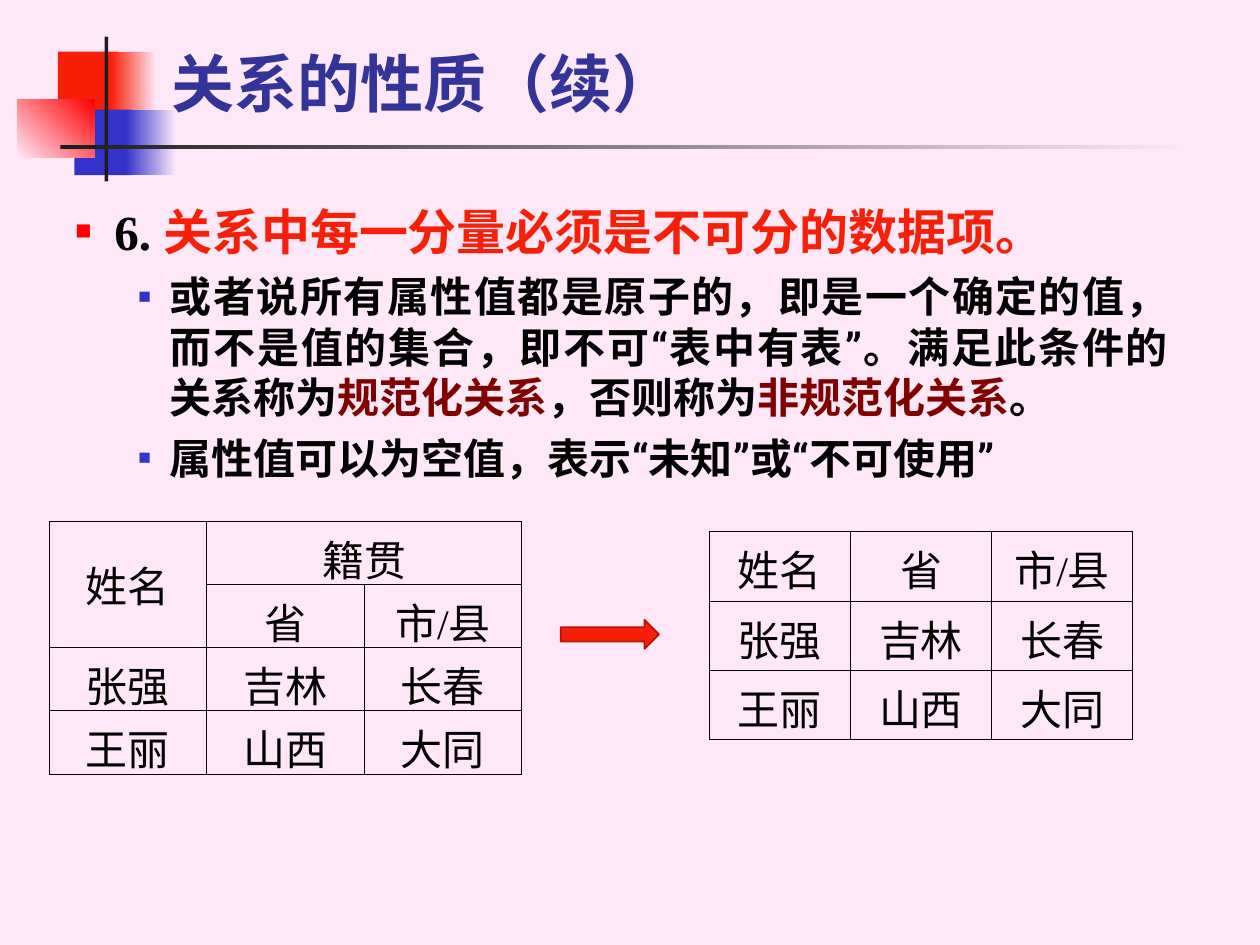
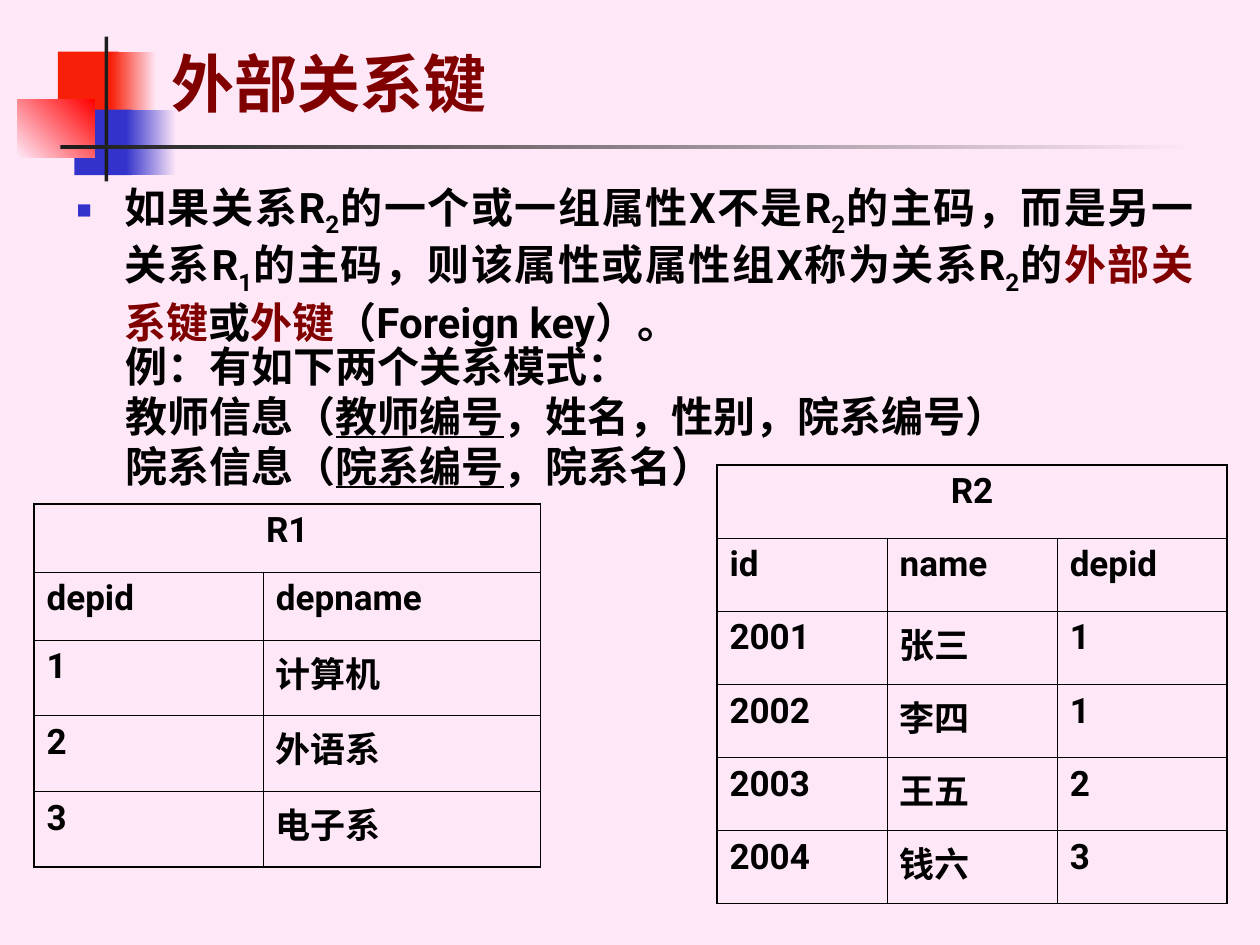
from pptx import Presentation
from pptx.dml.color import RGBColor
from pptx.enum.shapes import MSO_SHAPE as SHAPE
from pptx.enum.text import MSO_ANCHOR as ANCHOR, PP_ALIGN as ALIGN
from pptx.oxml.ns import qn
from pptx.util import Inches, Pt
from lxml.etree import SubElement

PINK = RGBColor(0xFE, 0xE8, 0xF7)
RED = RGBColor(0xF8, 0x1F, 0x08)
PURE_RED = RGBColor(0xFF, 0x00, 0x00)
ARROW_EDGE = RGBColor(0xB6, 0x14, 0x04)
BLUE = RGBColor(0x33, 0x33, 0xCC)
INDIGO = RGBColor(0x33, 0x33, 0x99)
MAROON = RGBColor(0x80, 0x00, 0x00)
DARK = RGBColor(0x1C, 0x1C, 0x1C)
BLACK = RGBColor(0x00, 0x00, 0x00)
SANS, SERIF = "Roboto", "Times New Roman"
THIN, THICK = 0.45, 1.08

DECORATION = [
    ((0.46, 0.41, 0.48, 0.52), (RED,), 0),
    ((0.88, 0.41, 0.36, 0.52), (RED, PINK), 0),
    ((0.59, 0.87, 0.46, 0.52), (BLUE,), 0),
    ((1, 0.87, 0.4, 0.52), (BLUE, PINK), 0),
    ((0.14, 0.79, 0.61, 0.46), (PINK, PURE_RED), 45),
    ((0.83, 0.29, 0.03, 1.15), (DARK,), 0),
    ((0.48, 1.15, 9, 0.03), (DARK, PINK), 0),
]

KEY = {"color": MAROON}
SUB = {"sub": True}
LINED = {"underline": True}

POINT = dict(size=28, indent=(0.81, -0.31), bullet=(PURE_RED, 55))
DETAIL = dict(size=24, indent=(1.25, -0.25), bullet=(BLUE, 50), before=6)
DEFINITION = dict(size=24, indent=(0.38, -0.38), bullet=(BLUE, 60))
PLAIN = dict(size=24)

ATOMIC_RULE = [
    (POINT, [("6. ", {"font": SERIF}),
             ("关系中每一分量必须是不可分的数据项。", {"color": RED})]),
    (DETAIL, [("或者说所有属性值都是原子的，即是一个确定的值，而不是值的集合，"
               "即不可“表中有表”。满足此条件的关系称为", {}),
              ("规范化关系", KEY), ("，否则称为", {}),
              ("非规范化关系", KEY), ("。", {})]),
    (DETAIL, [("属性值可以为空值，表示“未知”或“不可使用”", {})]),
]
FOREIGN_KEY = [
    (DEFINITION, [("如果关系R", {}), ("2", SUB),
                  ("的一个或一组属性X不是R", {}), ("2", SUB),
                  ("的主码，而是另一关系R", {}), ("1", SUB),
                  ("的主码，则该属性或属性组X称为关系R", {}), ("2", SUB),
                  ("的", {}), ("外部关系键", KEY), ("或", {}), ("外键", KEY),
                  ("（Foreign key）。", {})]),
]
SCHEMAS = [
    (PLAIN, [("例：有如下两个关系模式：", {})]),
    (PLAIN, [("教师信息（", {}), ("教师编号", LINED), ("，姓名，性别，院系编号）", {})]),
    (PLAIN, [("院系信息（", {}), ("院系编号", LINED), ("，院系名）", {})]),
]

PEOPLE = [["张强", "吉林", "长春"], ["王丽", "山西", "大同"]]
NESTED = [["姓名", "籍贯", ""], ["", "省", "市/县"]] + PEOPLE
FLAT = [["姓名", "省", "市/县"]] + PEOPLE
R1 = [["R1", ""], ["depid", "depname"], ["1", "计算机"], ["2", "外语系"], ["3", "电子系"]]
R2 = [["R2", "", ""], ["id", "name", "depid"], ["2001", "张三", "1"],
      ["2002", "李四", "1"], ["2003", "王五", "2"], ["2004", "钱六", "3"]]

CENTERED = dict(size=24, font=SERIF, bold=False, inset=0.08, outer=THIN, anchor=ANCHOR.MIDDLE)
RELATION = dict(size=20, font=SANS, bold=True, inset=0.1, outer=THICK, anchor=ANCHOR.TOP)


def inches(box):
    return [Inches(v) for v in box]


def add_run(p, text, size, color=BLACK, font=SANS, bold=True, underline=False,
            sub=False, east_asian=True):
    r = p.add_run()
    r.text = text
    f = r.font
    f.size, f.name, f.bold = Pt(size), font, bold
    f.color.rgb = color
    if underline:
        f.underline = True
    rPr = r._r.get_or_add_rPr()
    if sub:
        rPr.set("baseline", "-25000")
    if east_asian:
        SubElement(rPr, qn("a:ea")).set("typeface", SANS)


def set_bullet(p, indent, color, percent):
    pPr = p._p.get_or_add_pPr()
    pPr.set("marL", str(Inches(indent[0])))
    pPr.set("indent", str(Inches(indent[1])))
    SubElement(SubElement(pPr, qn("a:buClr")), qn("a:srgbClr")).set("val", str(color))
    SubElement(pPr, qn("a:buSzPct")).set("val", str(percent * 1000))
    SubElement(pPr, qn("a:buFont")).set("typeface", SERIF)
    SubElement(pPr, qn("a:buChar")).set("char", "■")


def add_text(s, box, paragraphs, anchor=ANCHOR.TOP):
    tf = s.shapes.add_textbox(*inches(box)).text_frame
    tf.word_wrap = True
    tf.vertical_anchor = anchor
    for i, (style, runs) in enumerate(paragraphs):
        p = tf.paragraphs[0] if i == 0 else tf.add_paragraph()
        if "before" in style:
            p.space_before = Pt(style["before"])
        if "bullet" in style:
            p.alignment = ALIGN.JUSTIFY
            set_bullet(p, style["indent"], *style["bullet"])
        for text, extra in runs:
            add_run(p, text, style["size"], **extra)


def add_block(s, kind, box, colors, angle=0):
    sp = s.shapes.add_shape(kind, *inches(box))
    sp.shadow.inherit = False
    sp.line.fill.background()
    if len(colors) == 1:
        sp.fill.solid()
        sp.fill.fore_color.rgb = colors[0]
    else:
        sp.fill.gradient()
        sp.fill.gradient_angle = angle
        for stop, color in zip(sp.fill.gradient_stops, colors):
            stop.color.rgb = color
    return sp


def set_borders(cell, widths):
    tcPr = cell._tc.get_or_add_tcPr()
    for side, width in zip("LRTB", widths):
        ln = SubElement(tcPr, qn("a:ln" + side))
        ln.set("w", str(Pt(width)))
        SubElement(SubElement(ln, qn("a:solidFill")), qn("a:srgbClr")).set("val", str(BLACK))


def add_table(s, left, top, cols, heights, data, style, merges=()):
    n_rows, n_cols = len(data), len(cols)
    tbl = s.shapes.add_table(n_rows, n_cols, *inches((left, top, sum(cols), sum(heights)))).table
    tbl.first_row = tbl.horz_banding = False
    for col, width in zip(tbl.columns, cols):
        col.width = Inches(width)
    for row, height in zip(tbl.rows, heights):
        row.height = Inches(height)
    for first, last in merges:
        tbl.cell(*first).merge(tbl.cell(*last))
    for i, row in enumerate(data):
        for j, text in enumerate(row):
            cell = tbl.cell(i, j)
            edges = (j == 0, j == n_cols - 1, i == 0, i == n_rows - 1)
            if cell.is_merge_origin:
                edges = (edges[0], j + cell.span_width == n_cols, edges[2], edges[3])
            set_borders(cell, [style["outer"] if edge else THIN for edge in edges])
            cell.fill.background()
            cell.margin_left = cell.margin_right = Inches(style["inset"])
            cell.margin_top = cell.margin_bottom = Inches(0.05)
            cell.vertical_anchor = style["anchor"]
            if text:
                p = cell.text_frame.paragraphs[0]
                if style is CENTERED or i == 0:
                    p.alignment = ALIGN.CENTER
                add_run(p, text, style["size"], font=style["font"], bold=style["bold"],
                        east_asian=False)


def add_slide(prs, title, color):
    s = prs.slides.add_slide(prs.slide_layouts[6])
    s.background.fill.solid()
    s.background.fill.fore_color.rgb = PINK
    for box, colors, angle in DECORATION:
        add_block(s, SHAPE.RECTANGLE, box, colors, angle)
    add_text(s, (1.26, 0.13, 8.52, 0.87),
             [(dict(size=36), [(title, {"color": color})])], ANCHOR.BOTTOM)
    return s


def main():
    prs = Presentation()
    prs.slide_width, prs.slide_height = Inches(10), Inches(7.5)

    s = add_slide(prs, "关系的性质（续）", INDIGO)
    add_text(s, (0, 1.55, 9.37, 2.44), ATOMIC_RULE)
    add_table(s, 0.39, 4.14, [1.25] * 3, [0.43] * 4, NESTED, CENTERED,
              [((0, 0), (1, 0)), ((0, 1), (0, 2))])
    add_table(s, 5.63, 4.22, [1.12] * 3, [0.55] * 3, FLAT, CENTERED)
    arrow = add_block(s, SHAPE.RIGHT_ARROW, (4.45, 4.92, 0.78, 0.23), (RED,))
    arrow.line.color.rgb = ARROW_EDGE
    arrow.line.width = Pt(1)

    s = add_slide(prs, "外部关系键", MAROON)
    add_text(s, (0.51, 1.39, 9.06, 1.67), FOREIGN_KEY)
    add_text(s, (0.9, 2.65, 8.28, 1.3), SCHEMAS)
    add_table(s, 0.27, 4, [1.82, 2.2], [0.54] * 2 + [0.6] * 3, R1, RELATION,
              [((0, 0), (0, 1))])
    add_table(s, 5.69, 3.69, [1.35] * 3, [0.58] * 6, R2, RELATION,
              [((0, 0), (0, 2))])

    prs.save("out.pptx")


if __name__ == "__main__":
    main()
